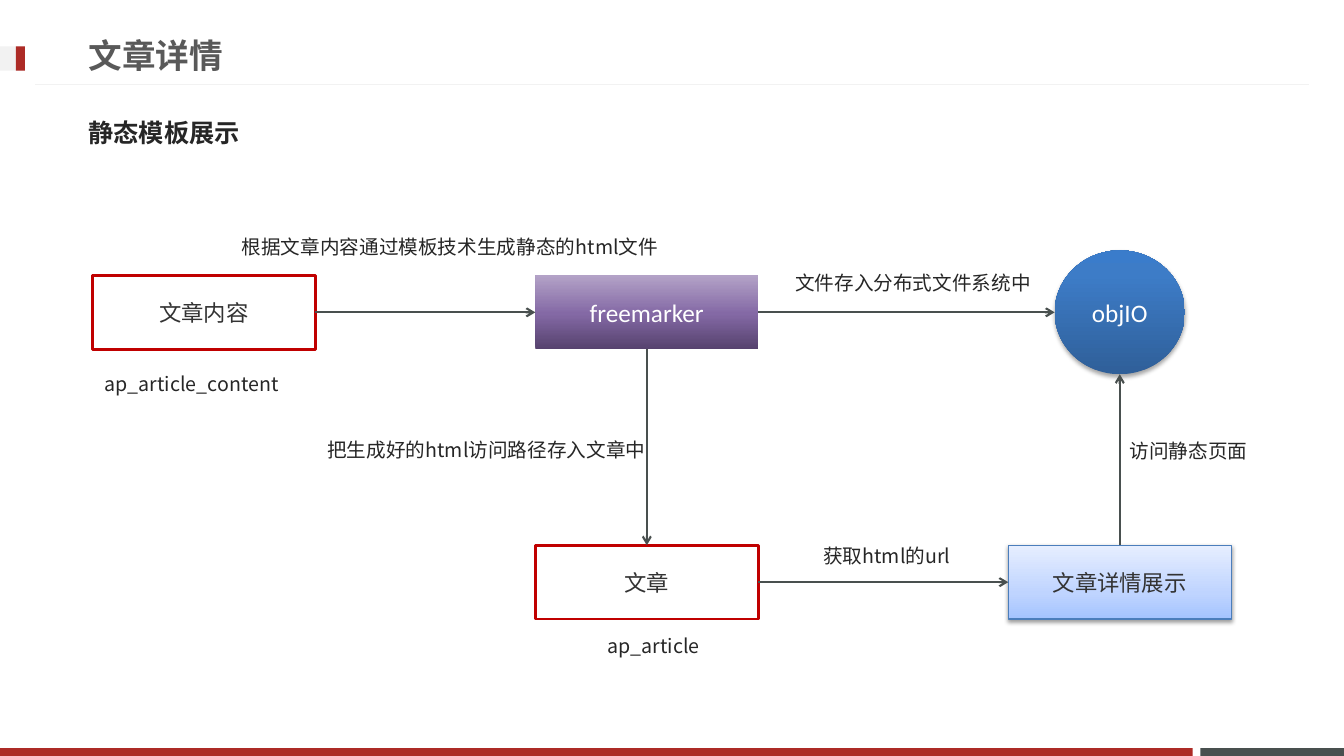
from lxml import etree
from pptx import Presentation
from pptx.dml.color import RGBColor
from pptx.enum import shapes, text
from pptx.oxml import ns
from pptx.util import Cm, Pt

COLOURS = {
    "red": "AD2B26", "slate": "49504F", "pale": "F2F2F2", "title": "595959",
    "ink": "262626", "node ink": "333333", "white": "FFFFFF",
    "outline": "C00000", "blue line": "4B7EBC", "shadow": "000000",
}
PURPLE = {0: "56426E", 48: "8469A5", 100: "B3A2C7"}
BLUE = {0: "2F5F99", 80: "3D7CC7", 100: "3A7CCB"}
LIGHT_BLUE = {0: "A4C4FF", 35: "BFD4FF", 100: "E6EEFF"}
CJK = "Noto Sans CJK JP"
WIDTH, HEIGHT = 33.87, 19.05
NODE_WIDTH, NODE_HEIGHT = 5.62, 1.86
RECT, OVAL = shapes.MSO_SHAPE.RECTANGLE, shapes.MSO_SHAPE.OVAL


def colour(name):
    return RGBColor.from_string(COLOURS[name])


def add_xml(parent, tag, **attributes):
    return etree.SubElement(parent, ns.qn(tag), attributes)


def write(shape, words, size=14, font=CJK, ink="ink", bold=False,
          align=text.PP_ALIGN.LEFT, anchor=text.MSO_ANCHOR.MIDDLE, spacing=None, before=0):
    frame = shape.text_frame
    frame.word_wrap = True
    frame.vertical_anchor = anchor
    para = frame.paragraphs[0]
    para.alignment = align
    para.line_spacing = spacing
    para.space_before = Pt(before)
    span = para.add_run()
    span.text = words
    span.font.size = Pt(size)
    span.font.name = font
    span.font.bold = bold
    span.font.color.rgb = colour(ink)
    add_xml(span.font._element, "a:ea", typeface=CJK)


def add_text(page, box, words, **style):
    write(page.shapes.add_textbox(*map(Cm, box)), words, **style)


def add_label(page, left, top, width, words):
    add_text(page, (left, top, width, 1.36), words,
             anchor=text.MSO_ANCHOR.TOP, spacing=1.5, before=2.8)


def add_bar(page, box, fill):
    bar = page.shapes.add_shape(RECT, *map(Cm, box))
    bar.shadow.inherit = False
    bar.fill.solid()
    bar.fill.fore_color.rgb = colour(fill)
    bar.line.fill.background()


def add_line(page, start, end, line="slate", width=1.5, arrow=True):
    connector = page.shapes.add_connector(
        shapes.MSO_CONNECTOR.STRAIGHT, *map(Cm, (*start, *end)))
    connector.line.color.rgb = colour(line)
    connector.line.width = Pt(width)
    if arrow:
        add_xml(connector.line._get_or_add_ln(), "a:tailEnd", type="arrow")
    add_xml(connector._element.spPr, "a:effectLst")


def fill_gradient(shape, stops):
    """Run the stops, keyed by percent, from bottom to top."""
    shape.fill.gradient()
    shape.fill.gradient_angle = 90
    stop_list = shape._element.spPr.find(".//" + ns.qn("a:gsLst"))
    for stop in list(stop_list):
        stop_list.remove(stop)
    for percent, value in stops.items():
        stop = add_xml(stop_list, "a:gs", pos=str(percent * 1000))
        add_xml(stop, "a:srgbClr", val=value)


def add_shadow(shape, alpha, distance):
    effects = shape._element.spPr.find(ns.qn("a:effectLst"))
    shadow = add_xml(effects, "a:outerShdw", blurRad=str(Pt(3.1)),
                     dist=str(Pt(distance)), dir="5400000", rotWithShape="0")
    tint = add_xml(shadow, "a:srgbClr", val=COLOURS["shadow"])
    add_xml(tint, "a:alpha", val=str(alpha * 1000))


def add_node(page, box, words, kind=RECT, stops=None, line=None, line_width=2,
             shadow=None, size=16, ink="node ink"):
    node = page.shapes.add_shape(kind, *map(Cm, box))
    node.shadow.inherit = False
    if stops:
        fill_gradient(node, stops)
    else:
        node.fill.background()
    if line:
        node.line.color.rgb = colour(line)
        node.line.width = Pt(line_width)
    else:
        node.line.fill.background()
    if shadow:
        add_shadow(node, *shadow)
    write(node, words, size=size, font="Calibri", ink=ink, align=text.PP_ALIGN.CENTER)


def draw_header(page, left, top, width):
    add_line(page, (left + width - 0.89, top + 2.13), (left + 0.89, top + 2.13),
             line="pale", width=0.75, arrow=False)
    add_bar(page, (left, top + 1.17, 0.63, 0.61), "pale")
    add_bar(page, (left + 0.4, top + 1.17, 0.23, 0.61), "red")
    add_text(page, (left + 1.98, top + 0.66, 24.36, 1.45), "文章详情",
             size=24, font="Roboto", ink="title", bold=True)
    add_text(page, (left + 1.98, top + 2.62, 29.72, 1.45), "静态模板展示",
             size=18, bold=True, before=3.6)


def draw_footer(page, left, top, width, height):
    split = left + width - 3.62
    add_bar(page, (split, top, 3.62, height), "slate")
    add_bar(page, (left, top, split - left - 0.19, height), "red")


def draw_flow(page, left, top):
    columns = [left, left + 11.16, left + 23.08]
    rows = [top, top + 6.8]
    middles = [column + NODE_WIDTH / 2 for column in columns]
    centres = [row + NODE_HEIGHT / 2 for row in rows]
    store_width, store_height = 3.28, 3.12
    store_left = middles[2] - store_width / 2
    store_top = centres[0] - store_height / 2

    def cell(column, row):
        return columns[column], rows[row], NODE_WIDTH, NODE_HEIGHT

    add_node(page, cell(1, 0), "freemarker", stops=PURPLE, size=18, ink="white")
    add_node(page, (store_left, store_top, store_width, store_height), "objIO",
             kind=OVAL, stops=BLUE, shadow=(35, 1.8), size=18, ink="white")
    add_node(page, cell(0, 0), "文章内容", line="outline")
    add_node(page, cell(1, 1), "文章", line="outline")
    add_node(page, cell(2, 1), "文章详情展示", stops=LIGHT_BLUE, line="blue line",
             line_width=0.75, shadow=(38, 1.6))

    for start, end in [
        ((columns[0] + NODE_WIDTH, centres[0]), (columns[1], centres[0])),
        ((columns[1] + NODE_WIDTH, centres[0]), (store_left, centres[0])),
        ((middles[1], rows[0] + NODE_HEIGHT), (middles[1], rows[1])),
        ((columns[1] + NODE_WIDTH, centres[1]), (columns[2], centres[1])),
        ((middles[2], rows[1]), (middles[2], store_top + store_height)),
    ]:
        add_line(page, start, end)

    for across, down, width, words in [
        (3.51, -1.43, 11.5, "根据文章内容通过模板技术生成静态的html文件"),
        (17.46, -0.53, 7.5, "文件存入分布式文件系统中"),
        (5.67, 3.68, 9.2, "把生成好的html访问路径存入文章中"),
        (18.17, 6.35, 4.2, "获取html的url"),
        (0.06, 2.01, 5.3, "ap_article_content"),
        (12.73, 8.61, 3.4, "ap_article"),
        (25.89, 3.71, 4.1, "访问静态页面"),
    ]:
        add_label(page, left + across, top + down, width, words)


def main():
    deck = Presentation()
    deck.slide_width, deck.slide_height = Cm(WIDTH), Cm(HEIGHT)
    page = deck.slides.add_slide(deck.slide_layouts[6])
    draw_footer(page, 0, HEIGHT - 0.2, WIDTH, 0.2)
    draw_header(page, 0, 0, WIDTH)
    draw_flow(page, 2.33, 6.94)
    deck.save("out.pptx")


if __name__ == "__main__":
    main()
